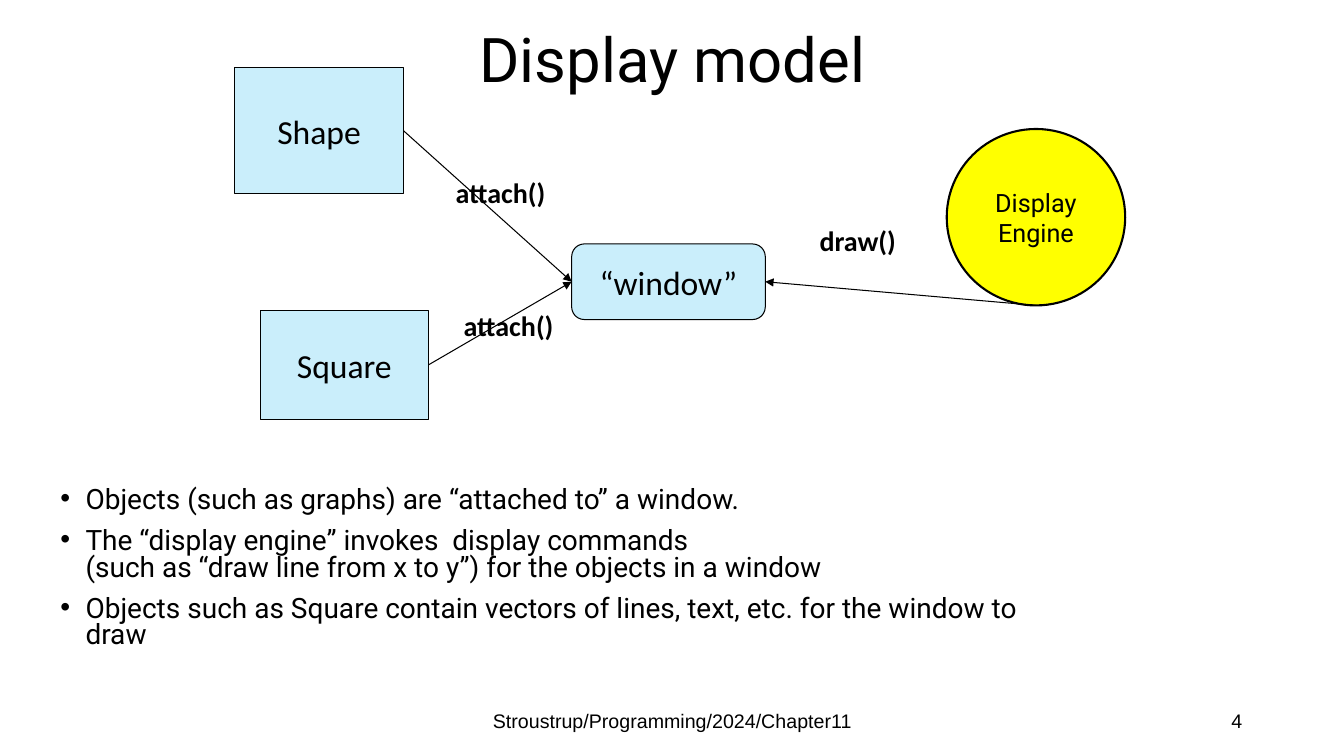
from lxml import etree
from pptx import Presentation
from pptx.dml.color import RGBColor
from pptx.enum.shapes import MSO_CONNECTOR, MSO_SHAPE
from pptx.enum.text import MSO_ANCHOR, PP_ALIGN
from pptx.oxml.ns import qn
from pptx.util import Inches, Pt

LEFT, CENTER, RIGHT = PP_ALIGN.LEFT, PP_ALIGN.CENTER, PP_ALIGN.RIGHT
TOP, MIDDLE = MSO_ANCHOR.TOP, MSO_ANCHOR.MIDDLE
RECTANGLE, ROUNDED, OVAL = MSO_SHAPE.RECTANGLE, MSO_SHAPE.ROUNDED_RECTANGLE, MSO_SHAPE.OVAL
STRAIGHT = MSO_CONNECTOR.STRAIGHT
COLORS = {"ink": "000000", "object": "CAEEFB", "engine": "FFFF00"}
RECT_LEFT, RECT_RIGHT, OVAL_LEFT = 1, 3, 2

deck = Presentation()
deck.slide_width, deck.slide_height = Inches(13.33), Inches(7.5)
page = deck.slides.add_slide(deck.slide_layouts[6])


def write(box, lines, size, font, align=LEFT, anchor=TOP, wrap=True, bold=False):
    frame = box.text_frame
    frame.word_wrap = wrap
    frame.vertical_anchor = anchor
    for index, line in enumerate(lines):
        para = frame.add_paragraph() if index else frame.paragraphs[0]
        para.text = line
        para.alignment = align
        for span in para.runs:
            span.font.size = Pt(size)
            span.font.name = font
            span.font.bold = bold
            span.font.color.rgb = RGBColor.from_string(COLORS["ink"])


def add_text(place, lines, size, font, **options):
    box = page.shapes.add_textbox(*map(Inches, place))
    write(box, lines, size, font, **options)
    return box


title = add_text((2.42, 0, 8.5, 1.25), ["Display model"], 44, "Roboto",
                 align=CENTER, anchor=MIDDLE)
title.text_frame.paragraphs[0].line_spacing = 0.9

body = add_text((0.5, 4.79, 10.33, 2.12), [
    "Objects (such as graphs) are “attached to” a window.",
    "The “display engine” invokes  display commands\n"
    "(such as “draw line from x to y”) for the objects in a window",
    "Objects such as Square contain vectors of lines, text, etc. for the window to draw",
], 20, "Roboto")
for para in body.text_frame.paragraphs:
    para.line_spacing = 0.8
    para.space_before = Pt(10)
    properties = para._p.get_or_add_pPr()
    properties.set("marL", str(Inches(0.25)))
    properties.set("indent", str(-Inches(0.25)))
    etree.SubElement(properties, qn("a:buFont"), typeface="Arial")
    etree.SubElement(properties, qn("a:buChar"), char="•")

add_text((4.42, 6.95, 4.5, 0.4), ["Stroustrup/Programming/2024/Chapter11"], 14, "Arial",
         align=CENTER, anchor=MIDDLE)
add_text((9.42, 6.95, 3, 0.4), ["4"], 14, "Arial", align=RIGHT, anchor=MIDDLE)

nodes = {}
for name, kind, place, fill, width, lines, size, font in [
    ("shape", RECTANGLE, (2.33, 0.67, 1.67, 1.25), "object", 0.75, ["Shape"], 24, "Calibri"),
    ("square", RECTANGLE, (2.58, 3.08, 1.67, 1.08), "object", 0.75, ["Square"], 24, "Calibri"),
    ("window", ROUNDED, (5.67, 2.42, 1.92, 0.75), "object", 0.75, ["“window”"], 24, "Calibri"),
    ("engine", OVAL, (9.39, 1.28, 1.77, 1.75), "engine", 1.5, ["Display", "Engine"], 18, "Roboto"),
]:
    node = page.shapes.add_shape(kind, *map(Inches, place))
    node.shadow.inherit = False
    node.fill.solid()
    node.fill.fore_color.rgb = RGBColor.from_string(COLORS[fill])
    node.line.color.rgb = RGBColor.from_string(COLORS["ink"])
    node.line.width = Pt(width)
    write(node, lines, size, font, align=CENTER, anchor=MIDDLE, wrap=name == "engine")
    nodes[name] = node

for source, start, end, label, place in [
    ("shape", RECT_RIGHT, RECT_LEFT, "attach()", (4.42, 1.69, 1.11, 0.44)),
    ("square", RECT_RIGHT, RECT_LEFT, "attach()", (4.5, 3.01, 1.11, 0.44)),
    ("engine", OVAL_LEFT, RECT_RIGHT, "draw()", (8.03, 2.17, 0.97, 0.44)),
]:
    arrow = page.shapes.add_connector(STRAIGHT, 0, 0, 0, 0)
    arrow.begin_connect(nodes[source], start)
    arrow.end_connect(nodes["window"], end)
    arrow.line.color.rgb = RGBColor.from_string(COLORS["ink"])
    arrow.line.width = Pt(0.75)
    etree.SubElement(arrow.line._get_or_add_ln(), qn("a:tailEnd"), type="triangle")
    etree.SubElement(arrow._element.spPr, qn("a:effectLst"))
    add_text(place, [label], 20, "Calibri", wrap=False, bold=True)

deck.save("out.pptx")
